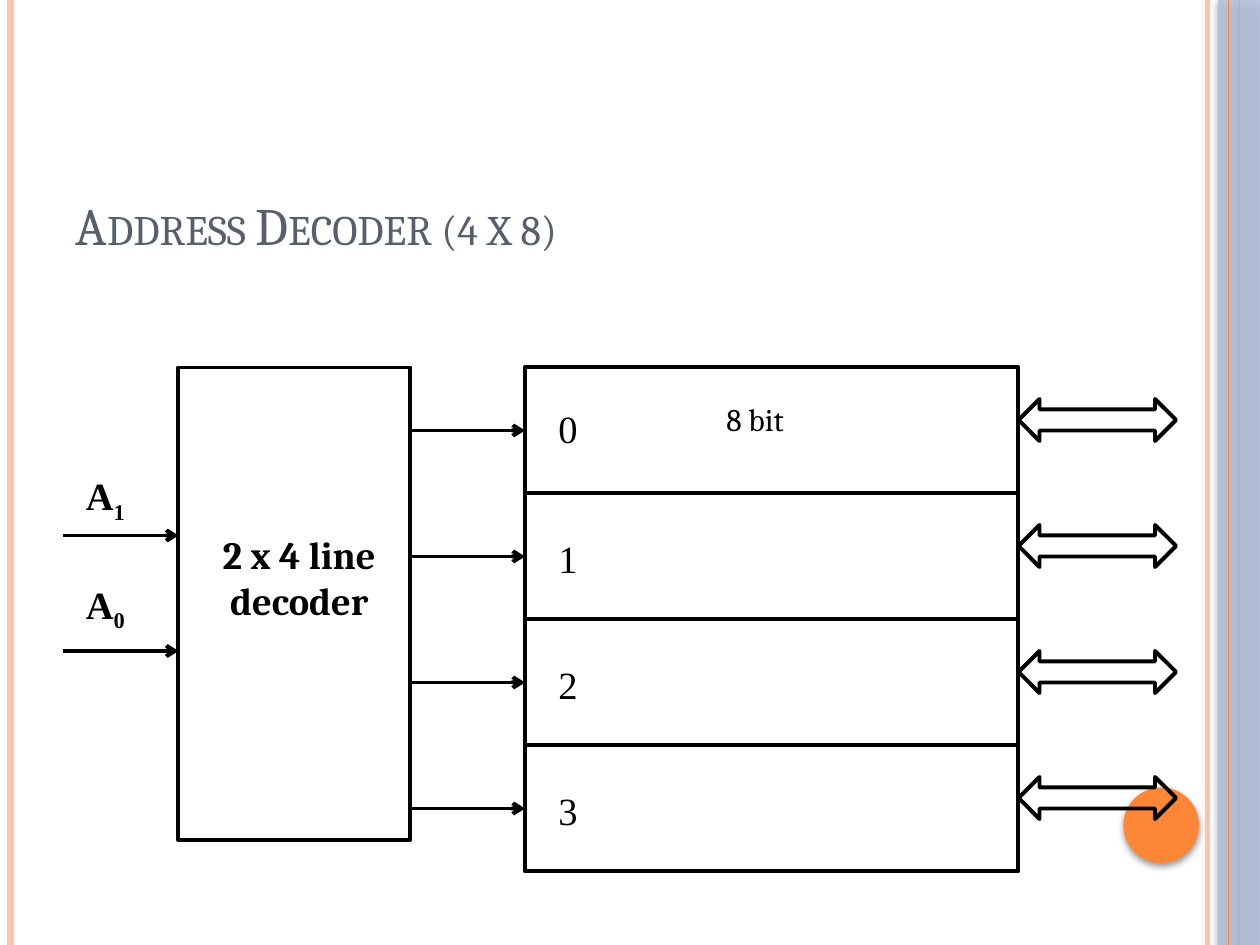
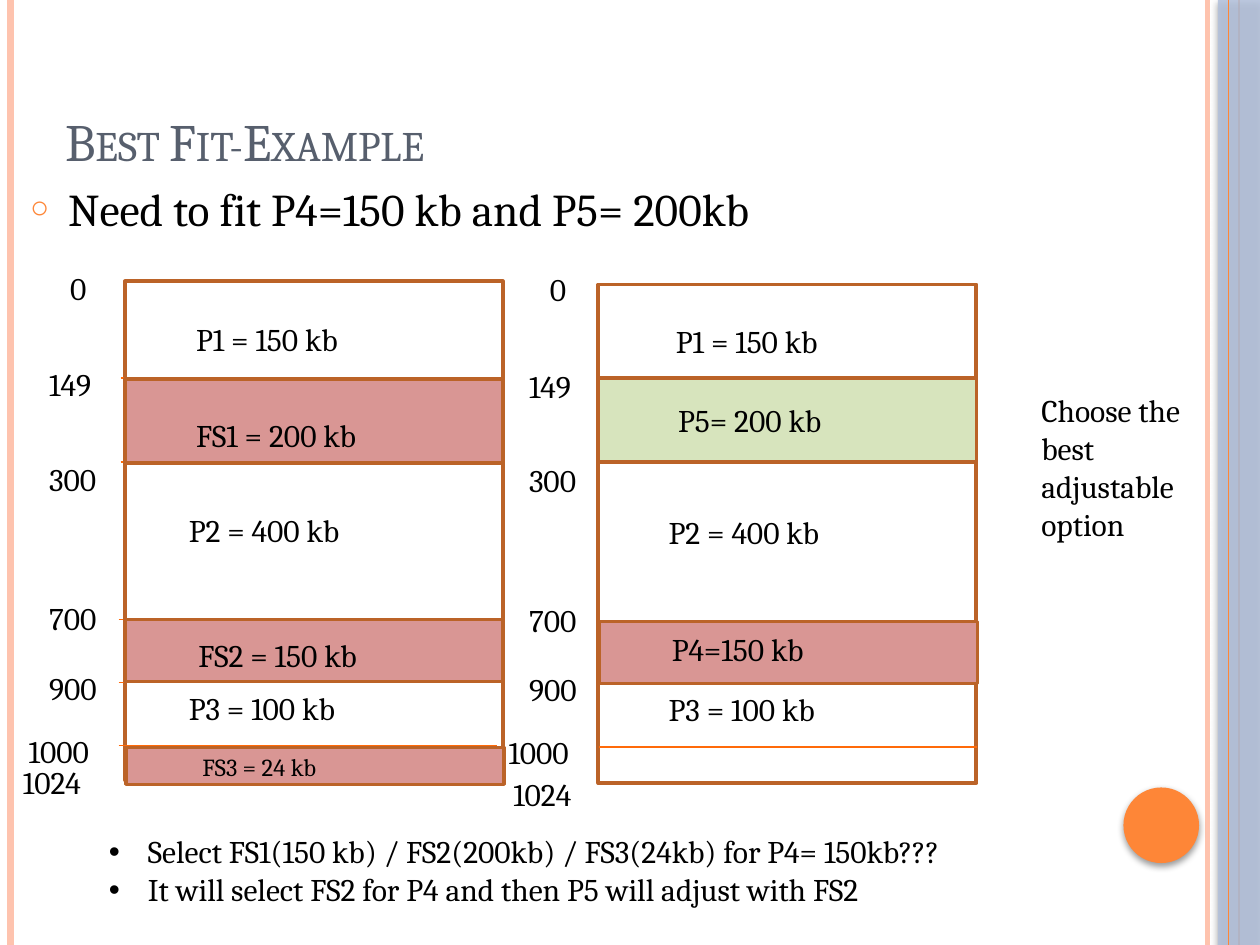
"""Build two slides: an address decoder diagram and a best fit memory example."""
from dataclasses import dataclass
from typing import Optional

from lxml import etree
from pptx import Presentation
from pptx import util as u
from pptx.dml.color import RGBColor
from pptx.enum import shapes, text
from pptx.oxml.ns import qn

WIDTH, HEIGHT = u.Inches(10), u.Inches(7.5)
COLUMNS, ROWS = 120, 90
BLACK = RGBColor(0x00, 0x00, 0x00)
WHITE = RGBColor(0xFF, 0xFF, 0xFF)
SLATE = RGBColor(0x57, 0x5F, 0x6D)
PEACH = RGBColor(0xFE, 0xC3, 0xAE)
ORANGE = RGBColor(0xFE, 0x86, 0x37)
BRIGHT_ORANGE = RGBColor(0xFF, 0x6A, 0x09)
BROWN = RGBColor(0xBB, 0x63, 0x28)
BLUE = RGBColor(0xB3, 0xC1, 0xDB)
ROSE = RGBColor(0xD9, 0x96, 0x94)
GREEN = RGBColor(0xD7, 0xE4, 0xBD)
SERIF, ROMAN = "Cambria", "Times New Roman"
KIND = shapes.MSO_AUTO_SHAPE_TYPE
ALIGN = text.PP_ALIGN


@dataclass(frozen=True)
class Area:
    """A rectangle in grid columns and rows."""
    col: float
    row: float
    cols: float
    rows: float

    def emu(self) -> tuple[int, int, int, int]:
        """Return left, top, width and height in EMU."""
        return (across(self.col), down(self.row), across(self.cols), down(self.rows))

    def moved(self, cols: float, rows: float) -> "Area":
        """Return the same area shifted on the grid."""
        return Area(self.col + cols, self.row + rows, self.cols, self.rows)


@dataclass(frozen=True)
class Style:
    """The look of a piece of text."""
    size: float = 18
    font: str = SERIF
    color: RGBColor = BLACK
    bold: bool = False


@dataclass(frozen=True)
class Bullet:
    """A bullet character with its hanging indent in inches."""
    char: str
    color: RGBColor
    indent: float
    percent: int = 100


@dataclass(frozen=True)
class Label:
    """A caption at a grid area."""
    words: str
    area: Area
    style: Style = Style()
    fill: Optional[RGBColor] = None


@dataclass(frozen=True)
class Block:
    """A coloured part of a memory map."""
    area: Area
    fill: RGBColor


@dataclass(frozen=True)
class MemoryMap:
    """A memory map, with the shift of its shared captions and rules."""
    frame: Area
    shift: tuple[float, float]
    blocks: list[Block]
    labels: list[Label]


def across(cols: float) -> int:
    """Convert grid columns to EMU."""
    return round(WIDTH * cols / COLUMNS)


def down(rows: float) -> int:
    """Convert grid rows to EMU."""
    return round(HEIGHT * rows / ROWS)


def add_alpha(color_parent, percent: int) -> None:
    """Make the colour inside a fill partly transparent."""
    color = color_parent.find(".//" + qn("a:srgbClr"))
    etree.SubElement(color, qn("a:alpha"), val=str(percent * 1000))


def add_shadow(shape) -> None:
    """Give a shape a soft shadow below it."""
    effects = shape._element.spPr.find(qn("a:effectLst"))
    outer = etree.SubElement(effects, qn("a:outerShdw"), blurRad=str(u.Pt(4)),
                             dist=str(u.Pt(2)), dir="5400000", rotWithShape="0")
    etree.SubElement(outer, qn("a:srgbClr"), val=str(BLACK))
    add_alpha(outer, 40)


def add_figure(page, kind, area: Area, fill: Optional[RGBColor] = None,
               line: Optional[RGBColor] = None, weight: float = 2.25):
    """Draw a preset shape."""
    shape = page.shapes.add_shape(kind, *area.emu())
    shape.shadow.inherit = False
    if fill is None:
        shape.fill.background()
    else:
        shape.fill.solid()
        shape.fill.fore_color.rgb = fill
    if line is None:
        shape.line.fill.background()
    else:
        shape.line.color.rgb = line
        shape.line.width = u.Pt(weight)
    return shape


def add_line(page, start: tuple[float, float], end: tuple[float, float],
             color: RGBColor, weight: float, arrow: bool = False):
    """Draw a straight line between two grid points."""
    line = page.shapes.add_connector(shapes.MSO_CONNECTOR.STRAIGHT, across(start[0]),
                                     down(start[1]), across(end[0]), down(end[1]))
    line.line.color.rgb = color
    line.line.width = u.Pt(weight)
    if arrow:
        etree.SubElement(line.line._get_or_add_ln(), qn("a:tailEnd"), type="arrow")
    etree.SubElement(line._element.spPr, qn("a:effectLst"))
    return line


def add_span(para, words: str, style: Style):
    """Add one formatted run to a paragraph."""
    span = para.add_run()
    span.text = words
    span.font.size = u.Pt(style.size)
    span.font.name = style.font
    span.font.bold = style.bold
    span.font.color.rgb = style.color
    return span


def add_bullet(para, bullet: Bullet) -> None:
    """Give a paragraph a bullet and a hanging indent."""
    props = para._p.get_or_add_pPr()
    indent = u.Inches(bullet.indent)
    props.set("marL", str(indent))
    props.set("indent", str(-indent))
    color = etree.SubElement(props, qn("a:buClr"))
    etree.SubElement(color, qn("a:srgbClr"), val=str(bullet.color))
    etree.SubElement(props, qn("a:buSzPct"), val=str(bullet.percent * 1000))
    etree.SubElement(props, qn("a:buFont"), typeface="Arial")
    etree.SubElement(props, qn("a:buChar"), char=bullet.char)


def add_text(page, area: Area, lines: list[str], style: Style = Style(),
             align=ALIGN.LEFT, bullet: Optional[Bullet] = None,
             fill: Optional[RGBColor] = None):
    """Add a wrapping text box with one paragraph per line."""
    box = page.shapes.add_textbox(*area.emu())
    box.text_frame.word_wrap = True
    if fill is not None:
        box.fill.solid()
        box.fill.fore_color.rgb = fill
    for index, words in enumerate(lines):
        para = box.text_frame.add_paragraph() if index else box.text_frame.paragraphs[0]
        if bullet:
            add_bullet(para, bullet)
        para.alignment = align
        add_span(para, words, style)
    return box


def add_page(deck, title: str, area: Area):
    """Add a slide with the shared bands and its title."""
    page = deck.slides.add_slide(deck.slide_layouts[5])
    for col, color, weight in ((115, PEACH, 3), (1, PEACH, 4.5), (118, ORANGE, 1.5)):
        add_line(page, (col, 0), (col, ROWS), color, weight)
    band = add_figure(page, KIND.RECTANGLE, Area(116, 0, 4, ROWS), BLUE)
    add_alpha(band._element.spPr, 87)
    add_shadow(band)
    add_line(page, (117, 0), (117, ROWS), ORANGE, 0.75)
    add_shadow(add_figure(page, KIND.OVAL, Area(107, 75, 7.2, 7.2), ORANGE))

    heading = page.shapes.title
    heading.left, heading.top, heading.width, heading.height = area.emu()
    frame = heading.text_frame
    frame.auto_size = text.MSO_AUTO_SIZE.NONE
    frame.vertical_anchor = text.MSO_ANCHOR.BOTTOM
    frame.paragraphs[0].alignment = ALIGN.LEFT
    span = add_span(frame.paragraphs[0], title, Style(30, color=SLATE))
    span.font._element.set("cap", "small")
    return page


def add_decoder_slide(deck) -> None:
    """Draw the decoder, its address inputs and the four memory words."""
    page = add_page(deck, "Address Decoder (4 x 8)", Area(6, 11, 108, 14))
    digit, strong = Style(22, ROMAN), Style(22, ROMAN, bold=True)
    for word in range(4):
        row = 35 + 12 * word
        add_figure(page, KIND.RECTANGLE, Area(50, row, 47, 12), line=BLACK)
        add_line(page, (39.1, row + 6), (50, row + 6), BLACK, 2.25, arrow=True)
        add_figure(page, KIND.LEFT_RIGHT_ARROW, Area(97, row + 3, 15, 4), line=BLACK)
        add_text(page, Area(52, row + (3.4 if word else 3), 5.5, 5.5), [str(word)], digit)
    add_text(page, Area(68, 37.5, 19.4, 4.8), ["8 bit"])
    add_figure(page, KIND.RECTANGLE, Area(17, 35, 22.1, 45), line=BLACK)
    add_text(page, Area(19, 50, 19, 14.4), ["2 x 4 line decoder"],
             Style(22, bold=True), ALIGN.CENTER)
    for address, arrow_row, label_row in (("1", 51, 44.4), ("0", 62, 54.7)):
        add_line(page, (6, arrow_row), (17, arrow_row), BLACK, 2.25, arrow=True)
        box = add_text(page, Area(7, label_row, 8, 6.1), ["A"], strong)
        index = add_span(box.text_frame.paragraphs[0], address, strong)
        index.font._element.set("baseline", "-25000")


SHARED_LABELS = [
    Label("0", Area(5.5, 25, 4.4, 4.8)),
    *(Label(words, Area(3.5, row, 9, 4.8)) for words, row in
      (("149", 34.2), ("300", 43.2), ("700", 56.5), ("900", 63.1))),
    Label("1000", Area(1.55, 69.1, 10.4, 4.8)),
    *(Label(words, Area(col, row, 25, 4.8)) for words, col, row in
      (("P1 = 150 kb", 17.5, 29.9), ("P2 = 400 kb", 16.8, 48.1), ("P3 = 100 kb", 16.8, 65))),
]
RULES = [(11.5, 36), (11.5, 44), (11.3, 59), (11.3, 65), (11.3, 71)]
RULE_END = 47.3
BEFORE = MemoryMap(
    Area(11.9, 26.8, 36, 47.5), (0, 0),
    [Block(Area(11.9, 36.1, 36, 8), ROSE), Block(Area(11.9, 59, 36, 5.9), ROSE),
     Block(Area(12, 71.2, 36, 3.5), ROSE)],
    [Label("1024", Area(1, 72.1, 10.4, 4.8)),
     Label("FS1 = 200 kb", Area(17.5, 39, 21, 4.8)),
     Label("FS2 = 150 kb", Area(17.7, 60, 21, 4.8)),
     Label("FS3 = 24 kb", Area(18.1, 71, 21, 4), Style(14))])
AFTER = MemoryMap(
    Area(57, 27.1, 36, 47.5), (45.7, 0.15),
    [Block(Area(57, 36, 36, 8), GREEN), Block(Area(57.1, 59.2, 36, 5.9), ROSE)],
    [Label("1024", Area(47.7, 73.2, 10.4, 4.8)),
     Label("P5= 200 kb", Area(63.4, 37.6, 21, 4.8), fill=GREEN),
     Label("P4=150 kb", Area(62.8, 59.4, 19, 4.8))])


def add_memory_map(page, memory: MemoryMap) -> None:
    """Draw a memory map with its rules, blocks and labels."""
    cols, rows = memory.shift
    add_figure(page, KIND.RECTANGLE, memory.frame, WHITE, BROWN)
    for col, row in RULES:
        add_line(page, (col + cols, row + rows), (RULE_END + cols, row + rows),
                 BRIGHT_ORANGE, 0.75)
    for label in SHARED_LABELS:
        add_text(page, label.area.moved(cols, rows), [label.words], label.style)
    for block in memory.blocks:
        add_figure(page, KIND.RECTANGLE, block.area, block.fill, BROWN, 2)
    for label in memory.labels:
        add_text(page, label.area, [label.words], label.style, fill=label.fill)


def add_best_fit_slide(deck) -> None:
    """Show memory before and after the best fit choice."""
    page = add_page(deck, "Best Fit-Example", Area(5, 3, 108, 14))
    add_text(page, Area(1.7, 16.6, 114, 8), ["Need to fit P4=150 kb and P5= 200kb"],
             Style(26), ALIGN.JUSTIFY, Bullet("○", ORANGE, 0.3, 70))
    for memory in (AFTER, BEFORE):
        add_memory_map(page, memory)
    add_text(page, Area(98, 36.7, 18, 15.6), ["Choose the best adjustable option"])
    add_text(page, Area(9.2, 78.7, 106.8, 12),
             ["Select FS1(150 kb) / FS2(200kb) / FS3(24kb) for P4= 150kb???",
              "It will select FS2 for P4 and then P5 will adjust with FS2"],
             bullet=Bullet("•", BLACK, 0.31))


def main() -> None:
    """Build and save the deck."""
    deck = Presentation()
    deck.slide_width, deck.slide_height = WIDTH, HEIGHT
    add_decoder_slide(deck)
    add_best_fit_slide(deck)
    deck.save("out.pptx")


if __name__ == "__main__":
    main()
